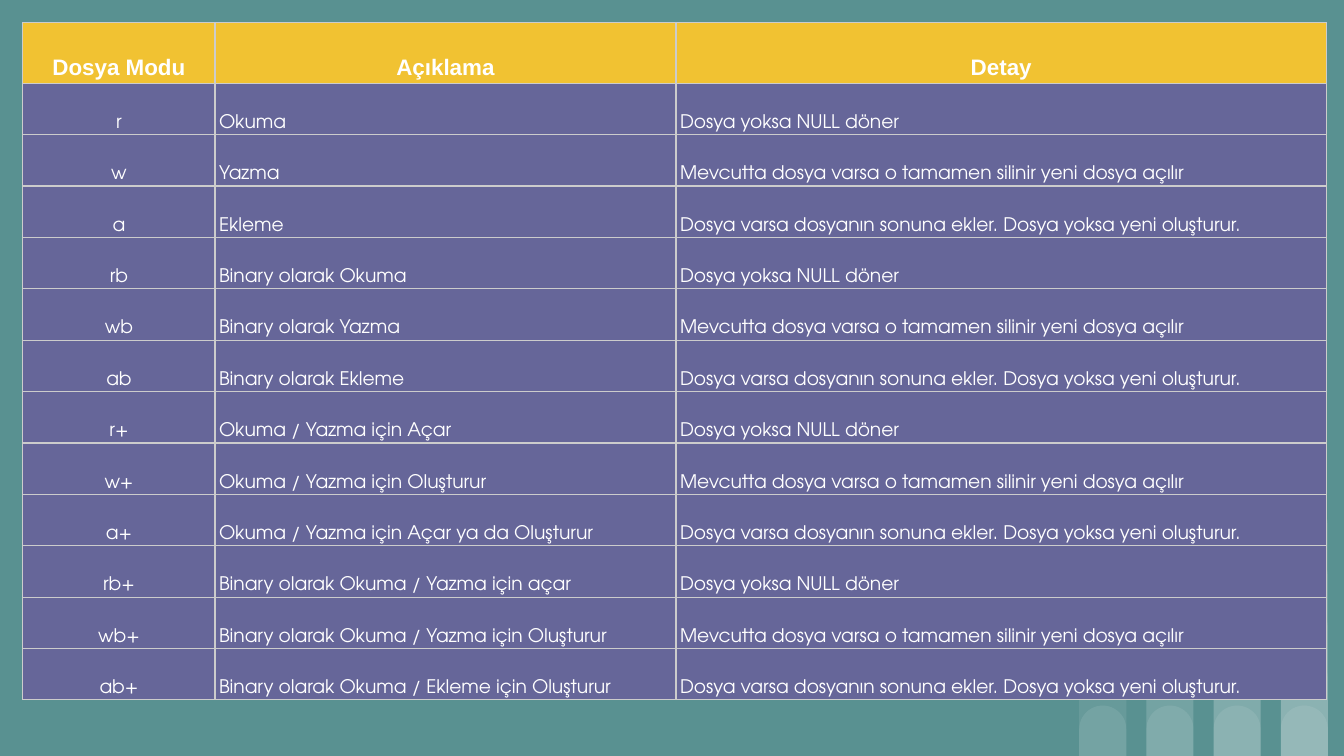
"""Build a slide with a table of file opening modes above a row of pale arches."""
from typing import NamedTuple

from lxml.etree import SubElement
from pptx import Presentation
from pptx.dml.color import RGBColor
from pptx.enum.shapes import MSO_SHAPE
from pptx.enum.text import MSO_ANCHOR, PP_ALIGN
from pptx.oxml.ns import qn
from pptx.slide import Slide
from pptx.table import _Cell
from pptx.util import Inches, Pt

SLIDE_WIDTH = 10
SLIDE_HEIGHT = SLIDE_WIDTH * 9 / 16
WHITE = "FFFFFF"
TEAL = "599191"
BORDER = "CCCCCC"

TABLE_LEFT = TABLE_TOP = 0.17
TABLE_HEIGHT = 5.04
HEADER_HEIGHT = 0.45
COLUMN_WIDTHS = (1.43, 3.43, 4.84)

ARCH_LEFT, ARCH_WIDTH, ARCH_PITCH = 8.03, 0.35, 0.5
ARCH_TOP, ARCH_STEP = 5.25, 0.38
ARCH_COLUMNS = 4
ARCH_OPACITY = 9


class CellStyle(NamedTuple):
    fill: str
    font: str
    size: int
    bold: bool


class FileMode(NamedTuple):
    name: str
    description: str


HEADER_STYLE = CellStyle("F1C232", "Arial", 12, True)
BODY_STYLE = CellStyle("666699", "TeX Gyre Adventor", 10, False)

HEADINGS = ("Dosya Modu", "Açıklama", "Detay")
MODES = (
    FileMode("r", "Okuma"),
    FileMode("w", "Yazma"),
    FileMode("a", "Ekleme"),
    FileMode("rb", "Binary olarak Okuma"),
    FileMode("wb", "Binary olarak Yazma"),
    FileMode("ab", "Binary olarak Ekleme"),
    FileMode("r+", "Okuma / Yazma için Açar"),
    FileMode("w+", "Okuma / Yazma için Oluşturur"),
    FileMode("a+", "Okuma / Yazma için Açar ya da Oluşturur"),
    FileMode("rb+", "Binary olarak Okuma / Yazma için açar"),
    FileMode("wb+", "Binary olarak Okuma / Yazma için Oluşturur"),
    FileMode("ab+", "Binary olarak Okuma / Ekleme için Oluşturur"),
)
DETAILS = {
    "r": "Dosya yoksa NULL döner",
    "w": "Mevcutta dosya varsa o tamamen silinir yeni dosya açılır",
    "a": "Dosya varsa dosyanın sonuna ekler. Dosya yoksa yeni oluşturur.",
}


def color(value: str) -> RGBColor:
    return RGBColor.from_string(value)


def draw_arch(slide: Slide, left: float, top: float) -> None:
    arch = slide.shapes.add_shape(
        MSO_SHAPE.ROUND_2_SAME_RECTANGLE,
        Inches(left), Inches(top), Inches(ARCH_WIDTH), Inches(SLIDE_HEIGHT - top),
    )
    arch.adjustments[0] = 0.5
    arch.adjustments[1] = 0
    arch.shadow.inherit = False
    arch.line.fill.background()
    arch.fill.solid()
    arch.fill.fore_color.rgb = color(WHITE)
    tint = arch.fill._xPr.find(qn("a:solidFill")).find(qn("a:srgbClr"))
    SubElement(tint, qn("a:alpha"), val=str(ARCH_OPACITY * 1000))


def draw_arches(slide: Slide) -> None:
    for column in range(ARCH_COLUMNS):
        for level in range(column + 2):
            draw_arch(slide, ARCH_LEFT + column * ARCH_PITCH, ARCH_TOP - level * ARCH_STEP)


def add_borders(cell: _Cell) -> None:
    properties = cell._tc.get_or_add_tcPr()
    for side in ("lnL", "lnR", "lnT", "lnB"):
        line = SubElement(properties, qn(f"a:{side}"), w=str(Pt(0.75)))
        fill = SubElement(line, qn("a:solidFill"))
        SubElement(fill, qn("a:srgbClr"), val=BORDER)


def fill_cell(cell: _Cell, text: str, style: CellStyle, align: PP_ALIGN) -> None:
    add_borders(cell)
    cell.fill.solid()
    cell.fill.fore_color.rgb = color(style.fill)
    cell.vertical_anchor = MSO_ANCHOR.BOTTOM
    cell.margin_left = cell.margin_right = Inches(0.03)
    cell.margin_top = cell.margin_bottom = Inches(0.02)
    cell.text_frame.text = text
    para = cell.text_frame.paragraphs[0]
    para.alignment = align
    para.line_spacing = 1.15
    for span in para.runs:
        span.font.name = style.font
        span.font.size = Pt(style.size)
        span.font.bold = style.bold
        span.font.color.rgb = color(WHITE)


def draw_table(slide: Slide) -> None:
    records = [HEADINGS] + [(*mode, DETAILS[mode.name[0]]) for mode in MODES]
    table = slide.shapes.add_table(
        len(records), len(HEADINGS), Inches(TABLE_LEFT), Inches(TABLE_TOP),
        Inches(sum(COLUMN_WIDTHS)), Inches(TABLE_HEIGHT),
    ).table
    table.horz_banding = False
    for column, width in zip(table.columns, COLUMN_WIDTHS):
        column.width = Inches(width)
    body_height = (TABLE_HEIGHT - HEADER_HEIGHT) / len(MODES)
    for row_index, record in enumerate(records):
        is_header = row_index == 0
        table.rows[row_index].height = Inches(HEADER_HEIGHT if is_header else body_height)
        style = HEADER_STYLE if is_header else BODY_STYLE
        for column_index, text in enumerate(record):
            centered = is_header or column_index == 0
            align = PP_ALIGN.CENTER if centered else PP_ALIGN.LEFT
            fill_cell(table.cell(row_index, column_index), text, style, align)


def main() -> None:
    deck = Presentation()
    deck.slide_width = Inches(SLIDE_WIDTH)
    deck.slide_height = Inches(SLIDE_HEIGHT)
    page = deck.slides.add_slide(deck.slide_layouts[6])
    page.background.fill.solid()
    page.background.fill.fore_color.rgb = color(TEAL)
    draw_arches(page)
    draw_table(page)
    deck.save("out.pptx")


if __name__ == "__main__":
    main()
